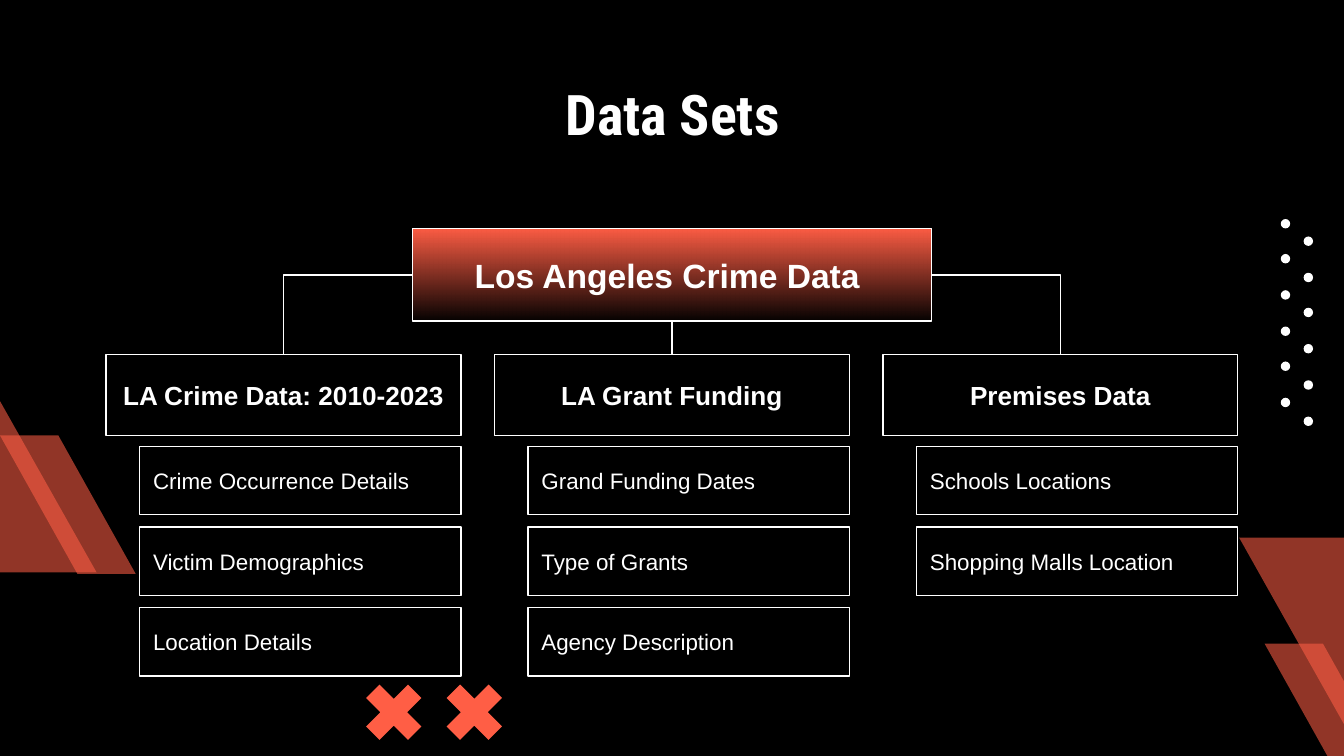
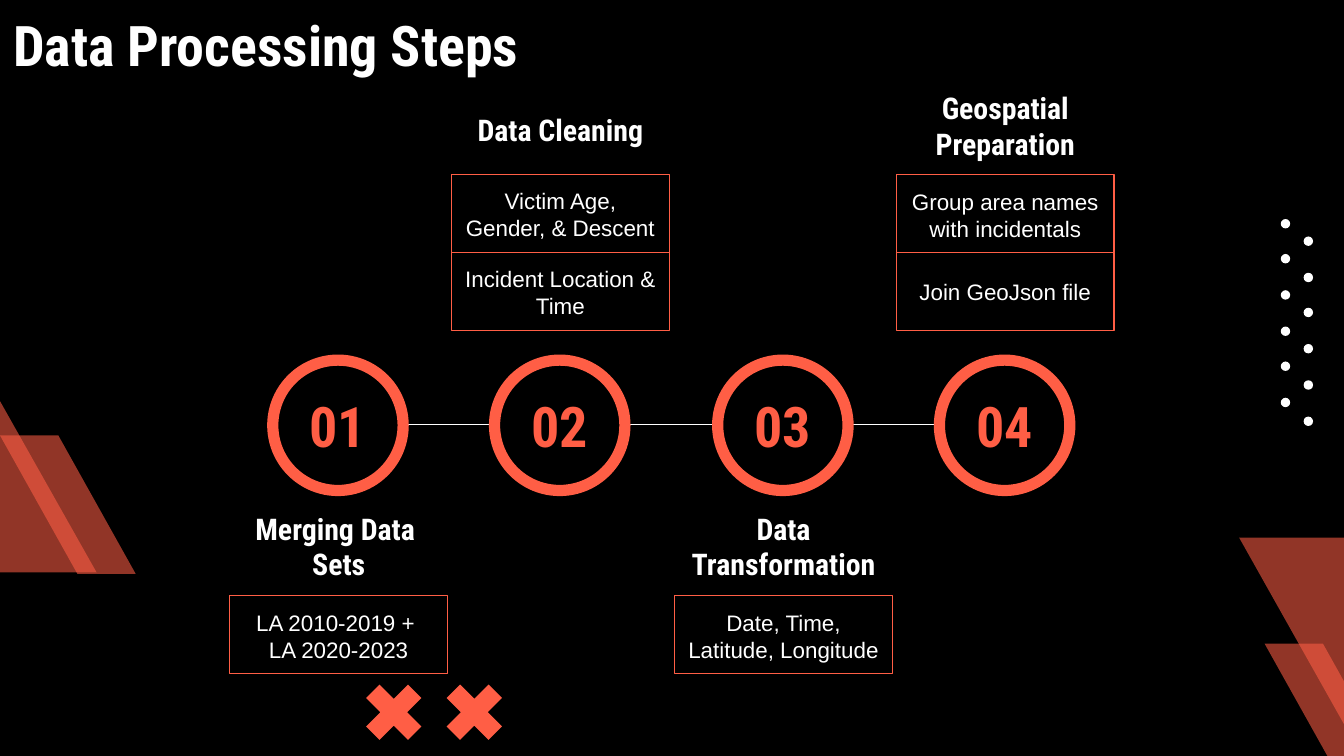
from dataclasses import dataclass

from lxml import etree
from pptx import Presentation
from pptx import util as u
from pptx.dml import color
from pptx.enum import dml, shapes, text
from pptx.oxml import ns

PX = 9144
COLORS = {"black": "000000", "white": "FFFFFF", "coral": "FF5E45"}
BODY = "Arial"
DISPLAY = "Roboto Condensed"
KIND = shapes.MSO_SHAPE
CENTER = text.PP_ALIGN.CENTER
LEFT = text.PP_ALIGN.LEFT
TOP = text.MSO_ANCHOR.TOP
MIDDLE = text.MSO_ANCHOR.MIDDLE
BOTTOM = text.MSO_ANCHOR.BOTTOM


@dataclass(frozen=True)
class Area:
    left: int
    top: int
    width: int
    height: int

    def emu(self) -> list:
        return [px(n) for n in (self.left, self.top, self.width, self.height)]


@dataclass(frozen=True)
class Style:
    size: int
    font: str = BODY
    bold: bool = False
    color: str = "white"
    align: text.PP_ALIGN = CENTER
    anchor: text.MSO_ANCHOR = MIDDLE
    inset: int = 10


@dataclass(frozen=True)
class Dataset:
    name: str
    fields: tuple


@dataclass(frozen=True)
class Detail:
    lines: tuple
    anchor: text.MSO_ANCHOR = MIDDLE


@dataclass(frozen=True)
class Step:
    heading: tuple
    top: int
    details: tuple
    anchor: text.MSO_ANCHOR = BOTTOM


SLANTS = (
    Area(922, 400, 214, 217),
    Area(-112, 240, 184, 186),
    Area(0, 324, 101, 103),
    Area(941, 479, 101, 103),
)
DATASETS = (
    Dataset("LA Crime Data: 2010-2023",
            ("Crime Occurrence Details", "Victim Demographics", "Location Details")),
    Dataset("LA Grant Funding",
            ("Grand Funding Dates", "Type of Grants", "Agency Description")),
    Dataset("Premises Data", ("Schools Locations", "Shopping Malls Location")),
)
ABOVE, BELOW = 63, 376
STEPS = (
    Step(("Merging Data ", "Sets"), BELOW,
         (Detail(("LA 2010-2019 + ", "LA 2020-2023"), TOP),)),
    Step(("Data Cleaning",), ABOVE,
         (Detail(("Victim Age, Gender, & Descent",)),
          Detail(("Incident Location & Time",))), MIDDLE),
    Step(("Data Transformation",), BELOW,
         (Detail(("Date, Time, Latitude, Longitude",), TOP),)),
    Step(("Geospatial Preparation",), ABOVE,
         (Detail(("Group area names with incidentals",), TOP),
          Detail(("Join GeoJson file",)))),
)


def px(count: int) -> u.Emu:
    return u.Emu(count * PX)


def rgb(name: str) -> color.RGBColor:
    return color.RGBColor.from_string(COLORS[name])


def set_alpha(parent, percent: int) -> None:
    tone = parent.find(".//" + ns.qn("a:srgbClr"))
    etree.SubElement(tone, ns.qn("a:alpha")).set("val", str(percent * 1000))


def write(box, lines: tuple, style: Style) -> None:
    frame = box.text_frame
    frame.word_wrap = True
    frame.vertical_anchor = style.anchor
    frame.margin_left = frame.margin_right = px(10)
    frame.margin_top = frame.margin_bottom = px(style.inset)
    for index, line in enumerate(lines):
        para = frame.add_paragraph() if index else frame.paragraphs[0]
        para.alignment = style.align
        span = para.add_run()
        span.text = line
        span.font.size = u.Pt(style.size)
        span.font.name = style.font
        span.font.bold = style.bold
        span.font.color.rgb = rgb(style.color)


def add_box(page, kind: KIND, area: Area, fill: str = "", line: str = "",
            weight: float = 0.75):
    box = page.shapes.add_shape(kind, *area.emu())
    box.shadow.inherit = False
    if fill:
        box.fill.solid()
        box.fill.fore_color.rgb = rgb(fill)
    else:
        box.fill.background()
    if line:
        box.line.color.rgb = rgb(line)
        box.line.width = u.Pt(weight)
    else:
        box.line.fill.background()
    return box


def add_label(page, area: Area, lines: tuple, style: Style) -> None:
    write(page.shapes.add_textbox(*area.emu()), lines, style)


def add_title(page, title: str, area: Area, align: text.PP_ALIGN) -> None:
    add_label(page, area, (title,),
              Style(30, DISPLAY, True, align=align, anchor=TOP))


def add_line(page, kind=shapes.MSO_CONNECTOR.STRAIGHT, start=(0, 0), end=(0, 0)):
    line = page.shapes.add_connector(kind, *[px(n) for n in (*start, *end)])
    line.line.color.rgb = rgb("white")
    line.line.width = u.Pt(0.75)
    etree.SubElement(line.element.spPr, ns.qn("a:effectLst"))
    return line


def add_page(deck):
    page = deck.slides.add_slide(deck.slide_layouts[6])
    page.background.fill.solid()
    page.background.fill.fore_color.rgb = rgb("black")
    for index in range(12):
        left = 970 if index % 2 else 953
        add_box(page, KIND.OVAL, Area(left, 163 + 147 * index // 11, 7, 7), "white")
    for area in SLANTS:
        slant = add_box(page, KIND.PARALLELOGRAM, area, "coral")
        slant.adjustments[0] = 0.57
        slant.element.spPr.xfrm.set("flipH", "1")
        set_alpha(slant.element.spPr, 57)
    for left in (263, 323):
        cross = add_box(page, KIND.MATH_MULTIPLY, Area(left, 500, 60, 60), "coral")
        cross.adjustments[0] = 0.235
    return page


def add_root(page):
    root = add_box(page, KIND.RECTANGLE, Area(307, 170, 386, 69), line="white")
    root.fill.gradient()
    root.fill.gradient_angle = 270
    for position, stop in enumerate(root.fill.gradient_stops):
        stop.position = position
        stop.color.rgb = rgb("coral")
    last = root.element.spPr.findall(".//" + ns.qn("a:gs"))[-1]
    set_alpha(last, 0)
    write(root, ("Los Angeles Crime Data ",), Style(18, bold=True, inset=5))
    return root


def build_datasets(deck) -> None:
    page = add_page(deck)
    add_title(page, "Data Sets", Area(79, 49, 843, 63), CENTER)
    root = add_root(page)
    links = shapes.MSO_CONNECTOR
    routes = ((links.ELBOW, 1), (links.STRAIGHT, 2), (links.ELBOW, 3))
    for column, (dataset, (kind, side)) in enumerate(zip(DATASETS, routes)):
        left = 79 + 289 * column
        head = add_box(page, KIND.RECTANGLE, Area(left, 264, 264, 60), "black", "white")
        write(head, (dataset.name,), Style(14, bold=True, inset=2))
        for row, field in enumerate(dataset.fields):
            area = Area(left + 25, 332 + 60 * row, 239, 51)
            box = add_box(page, KIND.RECTANGLE, area, "black", "white")
            write(box, (field,), Style(12, align=LEFT, inset=2))
        link = add_line(page, kind)
        link.begin_connect(root, side)
        link.end_connect(head, 0)
        if kind == links.ELBOW:
            link.element.spPr.find(ns.qn("a:prstGeom")).set("prst", "bentConnector2")


def build_steps(deck) -> None:
    page = add_page(deck)
    add_title(page, "Data Processing Steps", Area(0, -2, 843, 63), LEFT)
    lefts = [171 + 331 * index // 2 for index in range(len(STEPS))]
    for left, following in zip(lefts, lefts[1:]):
        add_line(page, start=(left + 129, 316), end=(following + 32, 316))
    for number, (left, step) in enumerate(zip(lefts, STEPS), 1):
        ring = add_box(page, KIND.OVAL, Area(left + 32, 268, 97, 97),
                       line="coral", weight=6)
        write(ring, (f"{number:02}",), Style(30, DISPLAY, True, "coral"))
        add_label(page, Area(left, step.top, 162, 67), step.heading,
                  Style(16, DISPLAY, True, anchor=step.anchor))
        for row, detail in enumerate(step.details):
            area = Area(left, step.top + 67 + 58 * row, 162, 58)
            box = add_box(page, KIND.RECTANGLE, area, line="coral")
            write(box, detail.lines, Style(12, anchor=detail.anchor))


def main() -> None:
    deck = Presentation()
    deck.slide_width = px(1000)
    deck.slide_height = u.Emu(px(1000) * 9 // 16)
    build_datasets(deck)
    build_steps(deck)
    deck.save("out.pptx")


if __name__ == "__main__":
    main()
